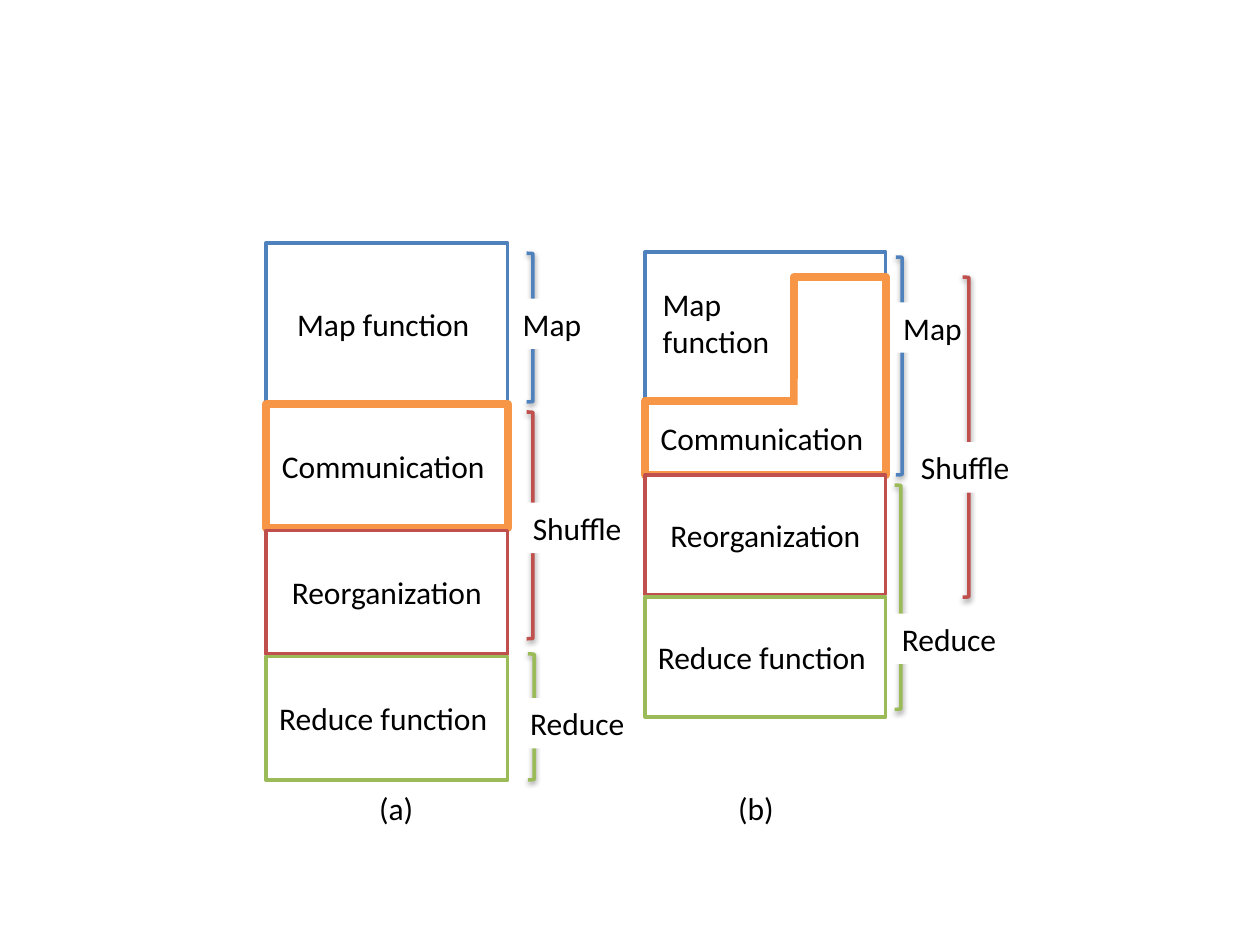
from lxml import etree
from pptx import Presentation
from pptx.dml.color import RGBColor
from pptx.enum.shapes import MSO_SHAPE as SHAPE
from pptx.enum.text import MSO_ANCHOR as ANCHOR, PP_ALIGN as ALIGN
from pptx.oxml import parse_xml
from pptx.util import Inches, Pt

COLORS = {"map": "4F81BD", "comm": "F79646", "shuffle": "C0504D",
          "reduce": "9BBB59", "paper": "FFFFFF", "ink": "000000"}
SHADOW = ('<a:effectLst xmlns:a="http://schemas.openxmlformats.org/drawingml/2006/main">'
          '<a:outerShdw blurRad="40000" dist="20000" dir="5400000" rotWithShape="0">'
          '<a:srgbClr val="000000"><a:alpha val="38000"/></a:srgbClr>'
          '</a:outerShdw></a:effectLst>')


def rgb(name):
    """Return the named colour."""
    return RGBColor.from_string(COLORS[name])


def write(sp, text, align=ALIGN.LEFT, anchor=ANCHOR.TOP, wrap=False):
    """Put one 18 pt paragraph in a shape."""
    tf = sp.text_frame
    tf.word_wrap = wrap
    tf.vertical_anchor = anchor
    p = tf.paragraphs[0]
    p.text = text
    p.alignment = align
    p.font.name, p.font.size = "Calibri", Pt(18)
    p.font.color.rgb = rgb("ink")


def shape(s, kind, box, line=None, width=2, filled=True):
    """Add a shape with a white or empty fill and an optional outline."""
    sp = s.shapes.add_shape(kind, *map(Inches, box))
    sp.shadow.inherit = False
    if filled:
        sp.fill.solid()
        sp.fill.fore_color.rgb = rgb("paper")
    else:
        sp.fill.background()
    if line:
        sp.line.color.rgb, sp.line.width = rgb(line), Pt(width)
    else:
        sp.line.fill.background()
    return sp


def stage(s, box, color, text="", width=2):
    """Add an outlined stage box with centred text."""
    sp = shape(s, SHAPE.RECTANGLE, box, color, width)
    if text:
        write(sp, text, ALIGN.CENTER, ANCHOR.MIDDLE, True)


def label(s, box, text, wrap=False, filled=True):
    """Add a left-aligned label, on white if filled."""
    if filled:
        sp = shape(s, SHAPE.RECTANGLE, box)
    else:
        sp = s.shapes.add_textbox(*map(Inches, box))
    write(sp, text, wrap=wrap)


def phase(s, x, y, color, bracket, tag, text):
    """Add a shadowed bracket and the label that covers its middle."""
    bx, by, bh = bracket
    sp = shape(s, SHAPE.RIGHT_BRACKET, (x + bx, y + by, 0.05, bh), color, filled=False)
    pr = sp._element.spPr
    pr.remove(pr.find("{*}effectLst"))
    pr.append(parse_xml(SHADOW))
    tx, ty, tw = tag
    label(s, (x + tx, y + ty, tw, 0.4), text)


def sequential(s, x, y, w):
    """Draw panel (a), whose stages follow one another."""
    stage(s, (x, y, w, 1.28), "map", "Map function ")
    rows = [("comm", "Communication ", 4.5), ("shuffle", "Reorganization", 2),
            ("reduce", "Reduce function ", 2)]
    for i, (color, text, width) in enumerate(rows):
        stage(s, (x, y + 1.28 + i, w, 0.98), color, text, width)
    phase(s, x, y, "map", (2.07, 0.08, 1.18), (1.94, 0.44, 0.67), "Map")
    phase(s, x, y, "shuffle", (2.07, 1.34, 1.8), (2.02, 2.06, 0.91), "Shuffle")
    phase(s, x, y, "reduce", (2.08, 3.26, 1), (2, 3.61, 0.96), "Reduce")
    label(s, (x + 0.8, y + 4.28, 0.48, 0.4), "(a)", filled=False)


def overlapped(s, x, y, w):
    """Draw panel (b), whose communication overlaps the map stage."""
    stage(s, (x, y, w, 1.78), "map")
    stage(s, (x, y + 1.18, w, 0.59), "comm", "Communication ", 4.5)
    stage(s, (x + 1.18, y + 0.2, w - 1.18, 0.98), "comm", width=4.5)
    shape(s, SHAPE.RECTANGLE, (x + 1.21, y + 1.01, 0.67, 0.32))
    stage(s, (x, y + 1.77, w, 0.95), "shuffle", "Reorganization")
    stage(s, (x, y + 2.74, w, 0.95), "reduce", "Reduce function ")
    phase(s, x, y, "map", (1.99, 0.04, 1.73), (1.95, 0.4, 0.67), "Map")
    phase(s, x, y, "shuffle", (2.52, 0.2, 2.54), (2.09, 1.51, 0.91), "Shuffle")
    phase(s, x, y, "reduce", (1.98, 1.85, 1.78), (1.94, 2.87, 0.96), "Reduce")
    label(s, (x + 0.04, y + 0.21, 1.08, 0.71), "Map function", True, False)
    label(s, (x + 0.64, y + 4.21, 0.49, 0.4), "(b)", filled=False)


prs = Presentation()
prs.slide_width, prs.slide_height = Inches(10), Inches(7.5)
s = prs.slides.add_slide(prs.slide_layouts[6])
sequential(s, 2.11, 1.93, 1.92)
overlapped(s, 5.12, 2, 1.91)
prs.save("out.pptx")
